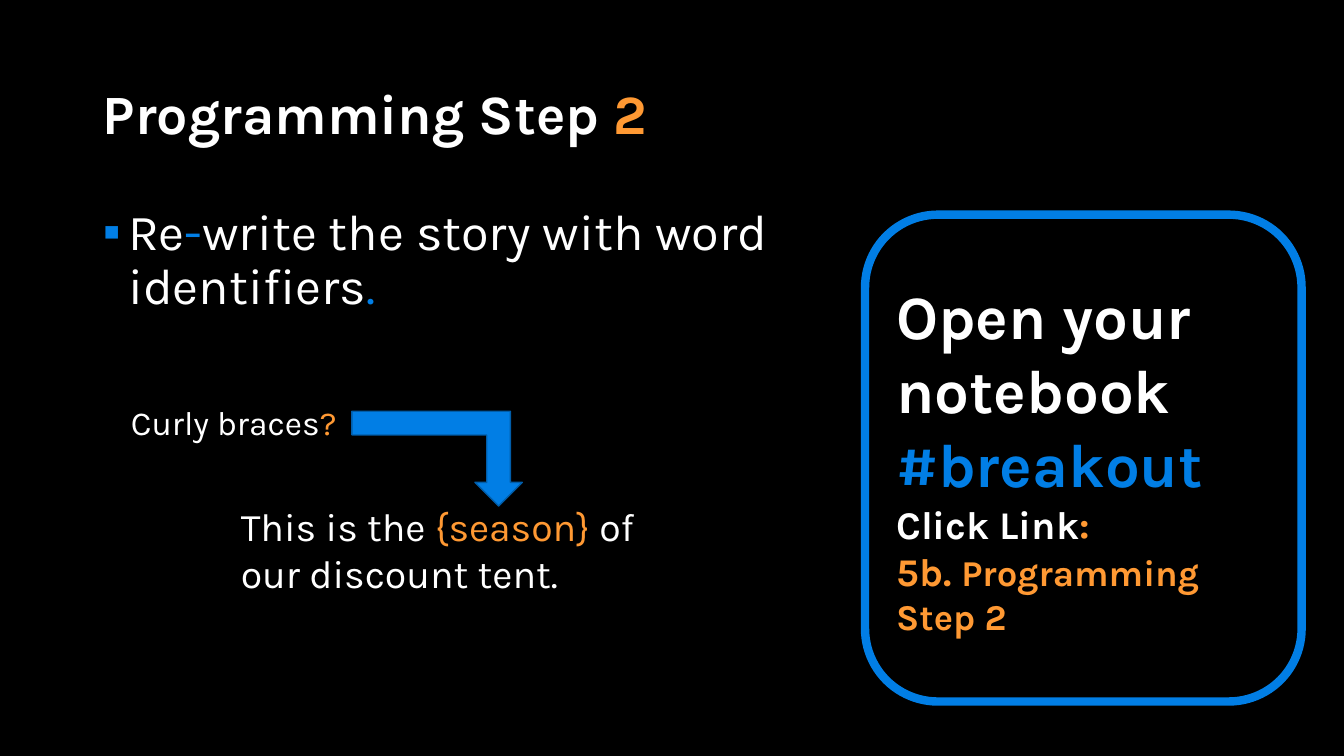
from dataclasses import dataclass
from lxml.etree import SubElement
from pptx import Presentation
from pptx.dml.color import RGBColor as RGB
from pptx.enum.shapes import MSO_SHAPE as Shape
from pptx.enum.text import MSO_ANCHOR as Anchor, MSO_AUTO_SIZE as Fit, PP_ALIGN as Align
from pptx.oxml.ns import qn
from pptx.util import Pt

PX = 9144  # 100 px to the inch


@dataclass(frozen=True)
class Theme:
    font: str = "Karla"
    black: RGB = RGB(0, 0, 0)
    white: RGB = RGB(255, 255, 255)
    blue: RGB = RGB(0x01, 0x7E, 0xE5)
    navy: RGB = RGB(0x01, 0x5D, 0xA9)
    gold: RGB = RGB(0xFF, 0x99, 0x33)
    title: float = 39.6
    body: int = 36
    call: int = 44
    text: int = 28
    link: int = 26
    note: int = 24


T = Theme()


def place(item, *box):
    item.left, item.top, item.width, item.height = [n * PX for n in box]


def write(frame, lines, fit=Fit.NONE, anchor=Anchor.TOP, bold=False):
    """Fill a frame with lines, each a list of (text, size, colour) runs."""
    frame.word_wrap = True
    frame.auto_size = fit
    frame.vertical_anchor = anchor
    for i, line in enumerate(lines):
        para = frame.add_paragraph() if i else frame.paragraphs[0]
        para.alignment = Align.LEFT
        for text, size, color in line:
            run = para.add_run()
            run.text = text
            run.font.name = T.font
            run.font.size = Pt(size)
            run.font.bold = bold
            run.font.color.rgb = color


# Slide
deck = Presentation()
deck.slide_width, deck.slide_height = 1333 * PX, 750 * PX
slide = deck.slides.add_slide(deck.slide_layouts[1])
fill = slide.background.fill
fill.solid()
fill.fore_color.rgb = T.black
shapes = slide.shapes

# Title
title = shapes.title
place(title, 92, 80, 1150, 72)
write(title.text_frame, [[("Programming Step ", T.title, T.white), ("2", T.title, T.gold)]],
      anchor=Anchor.MIDDLE, bold=True)
title.text_frame.paragraphs[0].line_spacing = 0.9

# Task list
body = slide.placeholders[1]
place(body, 92, 200, 730, 529)
write(body.text_frame, [[
    ("Re", T.body, T.white), ("-", T.body, T.blue),
    ("write the story with word identifiers", T.body, T.white), (".", T.body, T.blue),
]])
task = body.text_frame.paragraphs[0]
task.line_spacing = 0.9
task.space_before = Pt(10)
props = task._p.get_or_add_pPr()
props.set("marL", str(25 * PX))
props.set("indent", str(-25 * PX))
tint = SubElement(props, qn("a:buClr"))
SubElement(tint, qn("a:srgbClr"), val=str(T.blue))
SubElement(props, qn("a:buFont"), typeface="Arial")
SubElement(props, qn("a:buChar"), char="▪")

# Notebook panel
panel = shapes.add_shape(Shape.ROUNDED_RECTANGLE, *[n * PX for n in (858, 213, 433, 483)])
panel.shadow.inherit = False
panel.fill.background()
panel.line.color.rgb = T.blue
panel.line.width = Pt(6)
write(panel.text_frame, [
    [("Open your notebook", T.call, T.white)],
    [("#breakout", T.call, T.blue)],
    [("Click Link", T.text, T.white), (":", T.text, T.gold)],
    [("5b. ", T.text, T.gold), ("Programming Step 2", T.link, T.gold)],
], anchor=Anchor.MIDDLE, bold=True)

# Sample sentence and question
notes = [
    ((229, 493, 471, 104), [("This is the ", T.text, T.white), ("{season} ", T.text, T.gold),
                            ("of our discount tent.", T.text, T.white)]),
    ((120, 394, 268, 50), [("Curly braces", T.note, T.white), ("?", T.note, T.gold)]),
]
for box, line in notes:
    note = shapes.add_textbox(*[n * PX for n in box])
    write(note.text_frame, [line], fit=Fit.SHAPE_TO_FIT_TEXT)

# Arrow from question to braces
arrow = shapes.add_shape(Shape.BENT_UP_ARROW, *[n * PX for n in (349, 408, 169, 94)])
arrow.shadow.inherit = False
arrow.rotation = 180
arrow._element.spPr.find(qn("a:xfrm")).set("flipH", "1")
arrow.fill.solid()
arrow.fill.fore_color.rgb = T.blue
arrow.line.color.rgb = T.navy
arrow.line.width = Pt(1)

deck.save("out.pptx")
